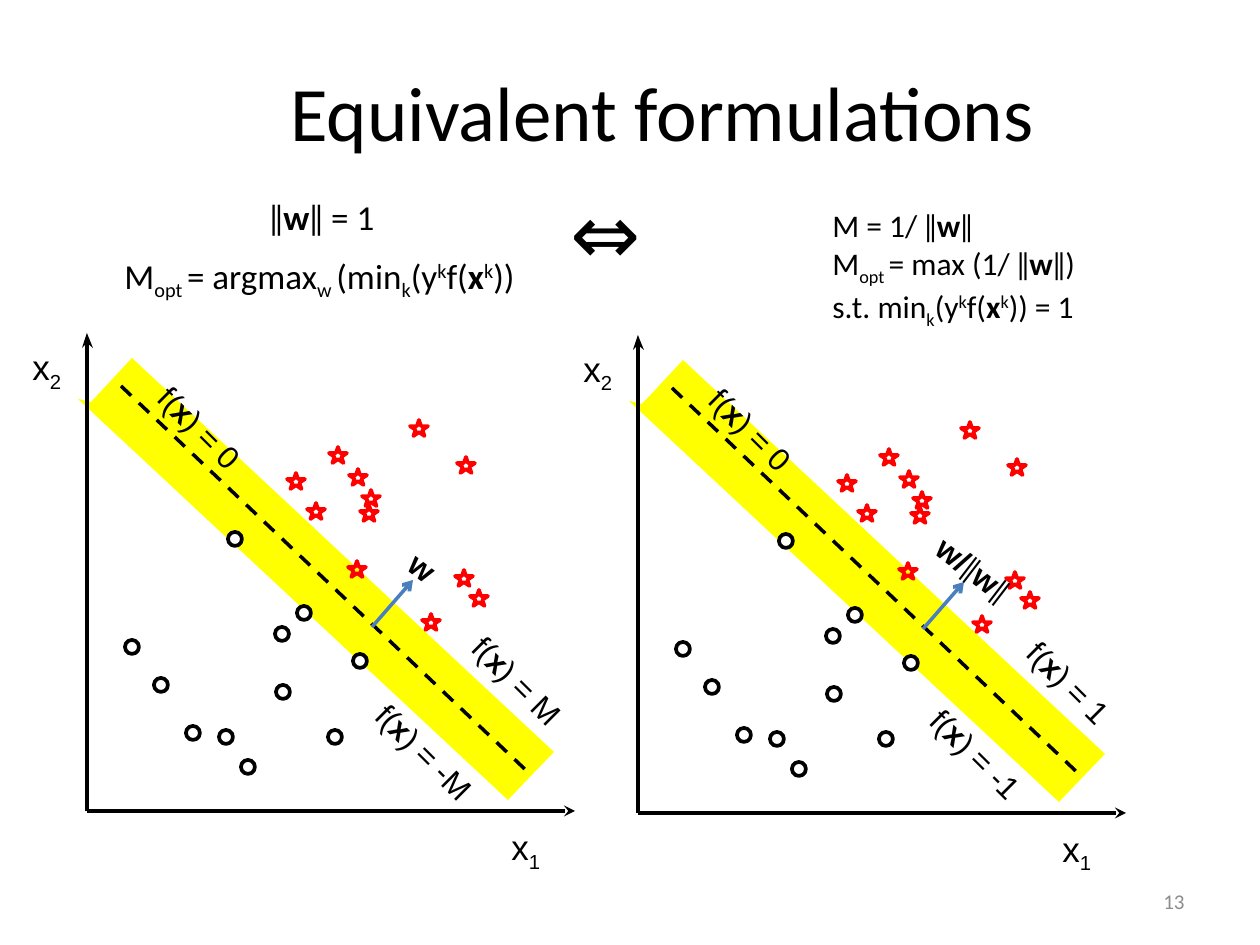
from dataclasses import dataclass

from lxml import etree
from pptx import Presentation
from pptx.dml.color import RGBColor
from pptx.enum.dml import MSO_LINE
from pptx.enum.shapes import MSO_CONNECTOR, MSO_SHAPE
from pptx.enum.text import MSO_ANCHOR, MSO_AUTO_SIZE, PP_ALIGN
from pptx.oxml.ns import qn
from pptx.util import Inches, Pt

PIXEL = 7257
STRAIGHT = MSO_CONNECTOR.STRAIGHT
OVAL, STAR, RECTANGLE = MSO_SHAPE.OVAL, MSO_SHAPE.STAR_5_POINT, MSO_SHAPE.RECTANGLE
DASH = MSO_LINE.DASH
TOP, MIDDLE = MSO_ANCHOR.TOP, MSO_ANCHOR.MIDDLE
LEFT, CENTER, RIGHT = PP_ALIGN.LEFT, PP_ALIGN.CENTER, PP_ALIGN.RIGHT
FIT, FIXED = MSO_AUTO_SIZE.SHAPE_TO_FIT_TEXT, MSO_AUTO_SIZE.NONE


@dataclass(frozen=True)
class Theme:
    black: RGBColor = RGBColor(0x00, 0x00, 0x00)
    white: RGBColor = RGBColor(0xFF, 0xFF, 0xFF)
    gray: RGBColor = RGBColor(0x8C, 0x8C, 0x8C)
    yellow: RGBColor = RGBColor(0xFF, 0xFF, 0x00)
    red: RGBColor = RGBColor(0xFF, 0x00, 0x00)
    blue: RGBColor = RGBColor(0x4B, 0x7E, 0xBC)
    body_font: str = "Calibri"
    plot_font: str = "Arial"
    title_size: int = 44
    symbol_size: int = 48
    large_size: int = 20
    small_size: int = 18
    number_size: int = 12
    outline: float = 2.13
    thin: float = 2


theme = Theme()
BASELINES = {"sub": "-25000", "super": "30000"}

presentation = Presentation()
presentation.slide_width, presentation.slide_height = Inches(10), Inches(7.5)
slide = presentation.slides.add_slide(presentation.slide_layouts[5])
shapes = slide.shapes


def write(paragraphs, box, shape=None, size=theme.large_size, font=theme.body_font,
          color=theme.black, align=LEFT, anchor=TOP, rotation=0, wrap=False, fit=FIT):
    left, top, width, height = [value * PIXEL for value in box]
    shape = shape or shapes.add_textbox(left, top, width, height)
    shape.left, shape.top, shape.width, shape.height = left, top, width, height
    shape.rotation = rotation
    frame = shape.text_frame
    frame.word_wrap, frame.auto_size, frame.vertical_anchor = wrap, fit, anchor
    for index, runs in enumerate(paragraphs):
        paragraph = frame.add_paragraph() if index else frame.paragraphs[0]
        paragraph.alignment = align
        for text, style in runs:
            run = paragraph.add_run()
            run.text = text
            run.font.name = theme.body_font if style == "symbol" else font
            run.font.size = Pt(size)
            run.font.color.rgb = color
            run.font.bold = style == "bold"
            if style in BASELINES:
                run._r.get_or_add_rPr().set("baseline", BASELINES[style])


def draw_line(start, end, color=theme.black, width=theme.outline, dash=None, head=None):
    connector = shapes.add_connector(STRAIGHT, *[value * PIXEL for value in start + end])
    connector.line.color.rgb = color
    connector.line.width = Pt(width)
    if dash:
        connector.line.dash_style = dash
    if head:
        etree.SubElement(connector.get_or_add_ln(), qn("a:tailEnd")).set("type", head)
    etree.SubElement(connector._element.spPr, qn("a:effectLst"))


circles = [(241, 760), (219, 730), (328, 730), (186, 726), (125, 640), (353, 654),
           (275, 627), (154, 678), (276, 685), (228, 532), (297, 606)]
stars = [(455, 570), (470, 590), (349, 469), (348, 561), (360, 505), (287, 473),
         (329, 447), (410, 420), (362, 490), (457, 457), (422, 614), (307, 503)]
markers = [(OVAL, circles, 14, 14, theme.black), (STAR, stars, 18, 16, theme.red)]
band = [(91, 402), (132, 358), (554, 752), (508, 800), (78, 399)]
axis_head = [(82, 348), (87, 333), (93, 348), (87, 343)]
axis_names = [("1", (499, 819, 96, 54)), ("2", (20, 339, 62, 54))]

plots = [
    (551, 2, ("1", 127), ("-1", 137), 108,
     [("w/", "bold"), ("ǁ", "symbol"), ("w", "bold"), ("ǁ", "symbol")]),
    (0, 0, ("M", 136), ("-M", 146), 50, [("w", "bold")]),
]

write([[("Equivalent formulations", "")]], (127, 32, 1071, 158), shape=shapes.title,
      size=theme.title_size, align=CENTER, anchor=MIDDLE, wrap=True, fit=FIXED)

for across, down, upper, lower, normal_width, normal in plots:
    for outline, color in [(band, theme.yellow), (axis_head, theme.black)]:
        points = [(x + across, y + down) for x, y in outline]
        builder = shapes.build_freeform(*points[0], scale=PIXEL)
        builder.add_line_segments(points[1:], close=True)
        shape = builder.convert_to_shape()
        shape.shadow.inherit = False
        shape.fill.solid()
        shape.fill.fore_color.rgb = color
        shape.line.fill.background()

    for kind, places, width, height, color in markers:
        for x, y in places:
            marker = shapes.add_shape(kind, (x + across) * PIXEL, (y + down) * PIXEL,
                                      width * PIXEL, height * PIXEL)
            marker.shadow.inherit = False
            marker.line.color.rgb = color
            marker.line.width = Pt(theme.outline)
            if kind == OVAL:
                marker.fill.solid()
                marker.fill.fore_color.rgb = theme.white
            else:
                marker.fill.background()

    origin = (87 + across, 811 + down)
    draw_line(origin, (575 + across, 811 + down), head="stealth")
    draw_line(origin, (87 + across, 343 + down))

    for subscript, (left, top, width, height) in axis_names:
        label = shapes.add_shape(RECTANGLE, 0, 0, PIXEL, PIXEL)
        label.shadow.inherit = False
        label.fill.solid()
        label.fill.fore_color.rgb = theme.white
        label.line.fill.background()
        write([[("x", ""), (subscript, "sub")]], (left + across, top + down, width, height),
              shape=label, font=theme.plot_font, wrap=True)

    draw_line((121 + across, 386 + down), (530 + across, 774 + down),
              width=theme.thin, dash=DASH)
    draw_line((372 + across, 627 + down), (413 + across, 580 + down),
              color=theme.blue, width=theme.thin, head="arrow")

    slanted = [(200, 428, width, 44.9, [("f(", ""), ("x", "bold"), (") = " + value, "")])
               for value, width in [("0", 127)]]
    slanted += [(x, y, width, 44.9, [("f(", ""), ("x", "bold"), (") = " + value, "")])
                for x, y, (value, width) in [(518, 681, upper), (425, 752, lower)]]
    slanted.append((423, 567, normal_width, 37.5, normal))
    for x, y, width, rotation, runs in slanted:
        write([runs], (x + across - width // 2, y + down - 25, width, 50),
              size=theme.small_size, font=theme.plot_font, rotation=rotation)

margin = [("min", ""), ("k", "sub"), ("(y", ""), ("k", "super"), ("f(", ""),
          ("x", "bold"), ("k", "super")]
optimum = [("M", ""), ("opt ", "sub")]

write([[("ǁ", ""), ("w", "bold"), ("ǁ = 1", "")]], (257, 189, 131, 55))
write([optimum + [("= argmax", ""), ("w ", "sub"), ("(", "")] + margin + [("))", "")]],
      (112, 248, 452, 55))
write([[("M = 1/ ǁ", ""), ("w", "bold"), ("ǁ", "")],
       optimum + [("= max (1/ ǁ", ""), ("w", "bold"), ("ǁ)", "")],
       [("s.t. ", "")] + margin + [(")) = 1", "")]],
      (820, 200, 277, 165), size=theme.small_size)
write([[("⇔", "")]], (558, 174, 113, 115), size=theme.symbol_size)
write([[("13", "")]], (903, 876, 294, 50), size=theme.number_size, color=theme.gray,
      align=RIGHT, anchor=MIDDLE, wrap=True, fit=FIXED)

presentation.save("out.pptx")
